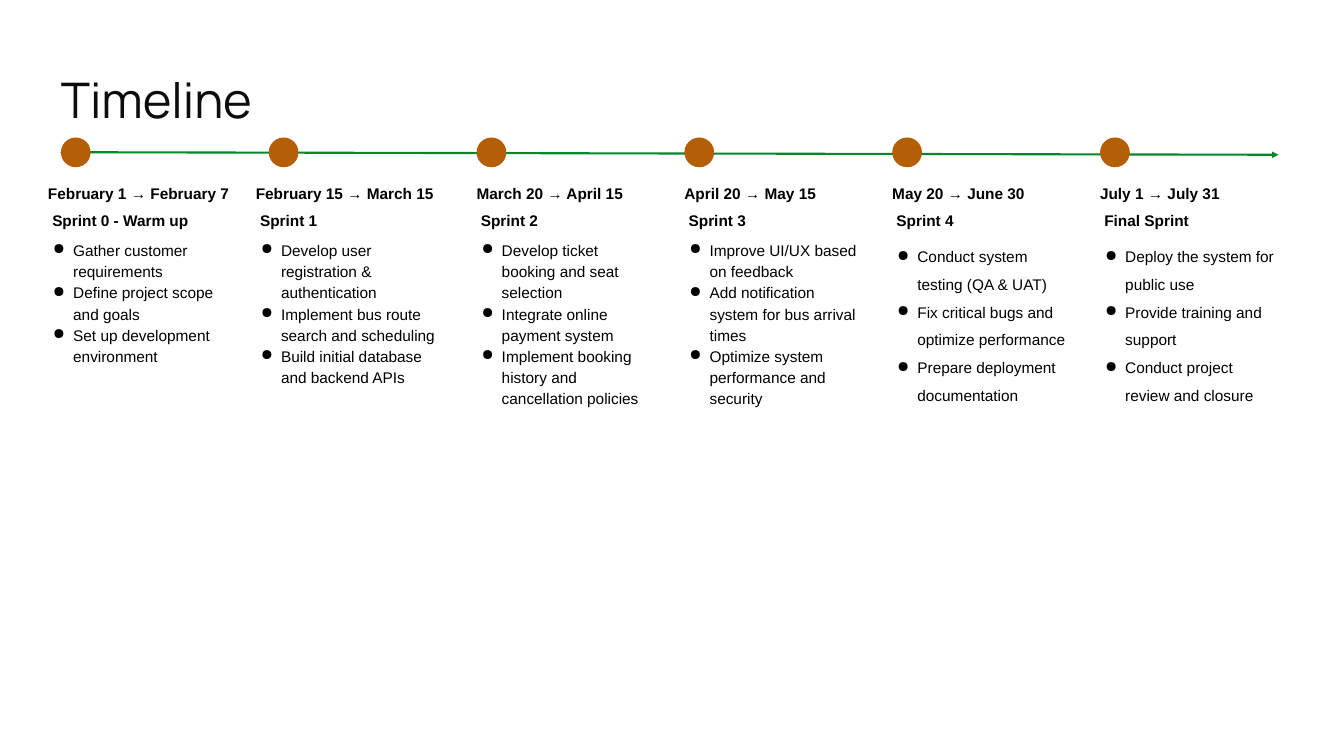
import pptx
import pptx.util
import pptx.dml.color
import pptx.enum.shapes
import pptx.enum.text
import pptx.oxml.ns
import lxml.etree

Cm = pptx.util.Cm
Pt = pptx.util.Pt
qn = pptx.oxml.ns.qn

COLORS = {"title": "0D0D0D", "text": "000000", "axis": "00882B", "milestone": "B45F06"}

FIRST_LEFT, PITCH = 3.07, 10.475
WIDE, NARROW = (-0.65, 9.88), (0, 9.25)  # column offset and width

# Dates, sprint, tasks, column geometry, task line spacing
SPRINTS = [
    ("February 1 → February 7", "Sprint 0 - Warm up",
     ["Gather customer requirements", "Define project scope and goals",
      "Set up development environment"], WIDE, 1.15),
    ("February 15 → March 15", "Sprint 1",
     ["Develop user registration & authentication",
      "Implement bus route search and scheduling",
      "Build initial database and backend APIs"], WIDE, 1.15),
    ("March 20 → April 15", "Sprint 2",
     ["Develop ticket booking and seat selection", "Integrate online payment system",
      "Implement booking history and cancellation policies"], NARROW, 1.15),
    ("April 20 → May 15", "Sprint 3",
     ["Improve UI/UX based on feedback", "Add notification system for bus arrival times",
      "Optimize system performance and security"], NARROW, 1.15),
    ("May 20 → June 30", "Sprint 4",
     ["Conduct system testing (QA & UAT)", "Fix critical bugs and optimize performance",
      "Prepare deployment documentation"], NARROW, 1.5),
    ("July 1 → July 31", "Final Sprint",
     ["Deploy the system for public use", "Provide training and support",
      "Conduct project review and closure"], NARROW, 1.5),
]


def rgb(name):
    return pptx.dml.color.RGBColor.from_string(COLORS[name])


def add_text_frame(slide, left, top, width, height, margins):
    frame = slide.shapes.add_textbox(Cm(left), Cm(top), Cm(width), Cm(height)).text_frame
    frame.word_wrap = True
    frame.vertical_anchor = pptx.enum.text.MSO_ANCHOR.TOP
    (frame.margin_left, frame.margin_top,
     frame.margin_right, frame.margin_bottom) = map(Cm, margins)
    return frame


def style(paragraph, size, face, color, spacing, bold=False):
    paragraph.line_spacing = spacing
    paragraph.font.size = Pt(size)
    paragraph.font.name = face
    paragraph.font.bold = bold
    paragraph.font.color.rgb = rgb(color)


def add_bullet(paragraph):
    properties = paragraph._p.get_or_add_pPr()
    properties.set("marL", str(Cm(1.27)))
    properties.set("indent", str(Cm(-1.02)))
    bullet_color = lxml.etree.SubElement(properties, qn("a:buClr"))
    lxml.etree.SubElement(bullet_color, qn("a:srgbClr"), val=COLORS["text"])
    lxml.etree.SubElement(properties, qn("a:buChar"), char="●")


def add_title(slide):
    frame = add_text_frame(slide, 3.07, 3.07, 61.62, 3, (0, 0, 0, 0))
    title = frame.paragraphs[0]
    title.text = "Timeline"
    style(title, 70, "Manrope", "title", 1.15)


def add_axis(slide):
    axis = slide.shapes.add_connector(
        pptx.enum.shapes.MSO_CONNECTOR.STRAIGHT, Cm(3.2), Cm(7.67), Cm(64.44), Cm(7.8))
    axis.line.color.rgb = rgb("axis")
    axis.line.width = Pt(3)
    line = axis.line._get_or_add_ln()
    lxml.etree.SubElement(line, qn("a:headEnd"), type="diamond")
    lxml.etree.SubElement(line, qn("a:tailEnd"), type="triangle")
    lxml.etree.SubElement(axis._element.spPr, qn("a:effectLst"))


def add_milestone(slide, left):
    milestone = slide.shapes.add_shape(
        pptx.enum.shapes.MSO_SHAPE.OVAL, Cm(left), Cm(6.93), Cm(1.5), Cm(1.5))
    milestone.shadow.inherit = False
    milestone.fill.solid()
    milestone.fill.fore_color.rgb = rgb("milestone")
    milestone.line.fill.background()


def add_sprint(slide, left, width, dates, sprint, tasks, spacing):
    frame = add_text_frame(slide, left, 8.64, width, 2.64, (0, 0.15, 0.3, 0.15))
    heading = frame.paragraphs[0]
    heading.text = f"{dates}\v {sprint}"
    style(heading, 22, "Arial", "text", 1.5, bold=True)
    for number, task in enumerate(tasks):
        item = frame.add_paragraph()
        item.text = task
        add_bullet(item)
        style(item, 22, "Arial", "text", spacing)
        item.space_before = Pt(0 if number else 12)


def main():
    presentation = pptx.Presentation()
    presentation.slide_width = Cm(67.74)
    presentation.slide_height = Cm(38.1)
    slide = presentation.slides.add_slide(presentation.slide_layouts[6])

    # Title and time axis
    add_title(slide)
    add_axis(slide)

    # One milestone and one column of tasks per sprint
    for index, (dates, sprint, tasks, (offset, width), spacing) in enumerate(SPRINTS):
        left = FIRST_LEFT + index * PITCH
        add_milestone(slide, left)
        add_sprint(slide, left + offset, width, dates, sprint, tasks, spacing)

    presentation.save("out.pptx")


if __name__ == "__main__":
    main()
